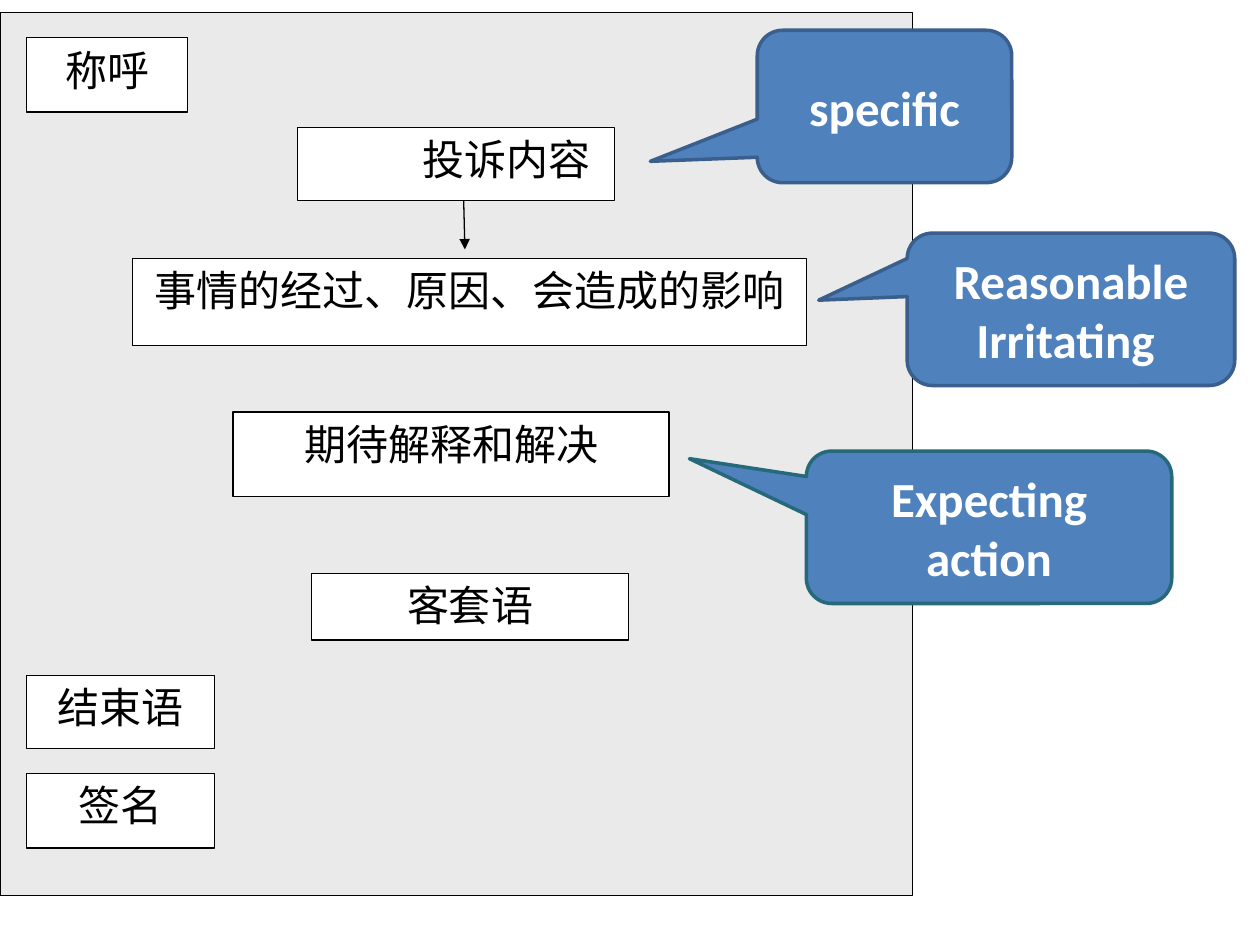
"""Build a slide that outlines the parts of a complaint letter."""
from lxml.etree import SubElement
from pptx import Presentation
from pptx.dml.color import RGBColor
from pptx.enum.shapes import MSO_CONNECTOR, MSO_SHAPE
from pptx.enum.text import MSO_ANCHOR, PP_ALIGN
from pptx.oxml.ns import qn
from pptx.util import Inches, Pt

COLORS = {
    "panel": "EAEAEA",
    "white": "FFFFFF",
    "black": "000000",
    "blue": "4F81BD",
    "navy": "3A5F8C",
    "teal": "26697A",
}

BOXES = [
    ("称呼", 0.21, 0.3, 1.28, 0.59, 0),
    ("投诉内容", 2.36, 1.01, 2.52, 0.58, 0.8),
    ("事情的经过、原因、会造成的影响", 1.05, 2.05, 5.35, 0.69, 0),
    ("期待解释和解决", 1.85, 3.27, 3.46, 0.67, 0),
    ("客套语", 2.47, 4.55, 2.52, 0.53, 0),
    ("结束语", 0.21, 5.36, 1.49, 0.58, 0),
    ("签名", 0.21, 6.14, 1.49, 0.59, 0),
]

CALLOUTS = [
    ("specific", 6.01, 0.24, 2.02, "navy", (-0.92, 0.36)),
    ("Reasonable\nIrritating ", 7.2, 1.85, 2.6, "navy", (-0.77, -0.06)),
    ("Expecting action", 6.4, 3.58, 2.9, "teal", (-0.82, -0.45)),
]


def rgb(name):
    return RGBColor.from_string(COLORS[name])


def add_shape(s, kind, x, y, w, h, fill, line, width):
    sp = s.shapes.add_shape(kind, Inches(x), Inches(y), Inches(w), Inches(h))
    sp.shadow.inherit = False
    sp.fill.solid()
    sp.fill.fore_color.rgb = rgb(fill)
    sp.line.color.rgb = rgb(line)
    sp.line.width = Pt(width)
    return sp


def set_text(sp, text, font, size, color, anchor, bold=False):
    tf = sp.text_frame
    tf.word_wrap = True
    tf.vertical_anchor = anchor
    tf.text = text
    for p in tf.paragraphs:
        p.alignment = PP_ALIGN.CENTER
        for r in p.runs:
            r.font.name = font
            r.font.size = Pt(size)
            r.font.bold = bold
            r.font.color.rgb = rgb(color)


def add_box(s, text, x, y, w, h, indent):
    sp = add_shape(s, MSO_SHAPE.RECTANGLE, x, y, w, h, "white", "black", 0.75)
    set_text(sp, text, "Times New Roman", 24, "black", MSO_ANCHOR.TOP)
    if indent:
        pPr = sp.text_frame.paragraphs[0]._p.get_or_add_pPr()
        pPr.set("indent", str(Inches(indent)))


def add_callout(s, text, x, y, w, line, tip):
    sp = add_shape(s, MSO_SHAPE.ROUNDED_RECTANGULAR_CALLOUT,
                   x, y, w, 1.21, "blue", line, 2)
    for i, value in enumerate(tip):
        sp.adjustments[i] = value
    set_text(sp, text, "Calibri", 28, "white", MSO_ANCHOR.MIDDLE, bold=True)


def add_arrow(s, x1, y1, x2, y2):
    cn = s.shapes.add_connector(MSO_CONNECTOR.STRAIGHT, Inches(x1), Inches(y1),
                                Inches(x2), Inches(y2))
    cn.line.color.rgb = rgb("black")
    cn.line.width = Pt(0.75)
    SubElement(cn.line._get_or_add_ln(), qn("a:tailEnd"), type="triangle")
    SubElement(cn._element.spPr, qn("a:effectLst"))


def main():
    prs = Presentation()
    prs.slide_width, prs.slide_height = Inches(10), Inches(7.5)
    s = prs.slides.add_slide(prs.slide_layouts[6])
    add_shape(s, MSO_SHAPE.RECTANGLE, 0, 0.1, 7.24, 7.01, "panel", "black", 0.75)
    for box in BOXES:
        add_box(s, *box)
    add_arrow(s, 3.68, 1.59, 3.69, 1.98)
    for callout in CALLOUTS:
        add_callout(s, *callout)
    prs.save("out.pptx")


if __name__ == "__main__":
    main()
